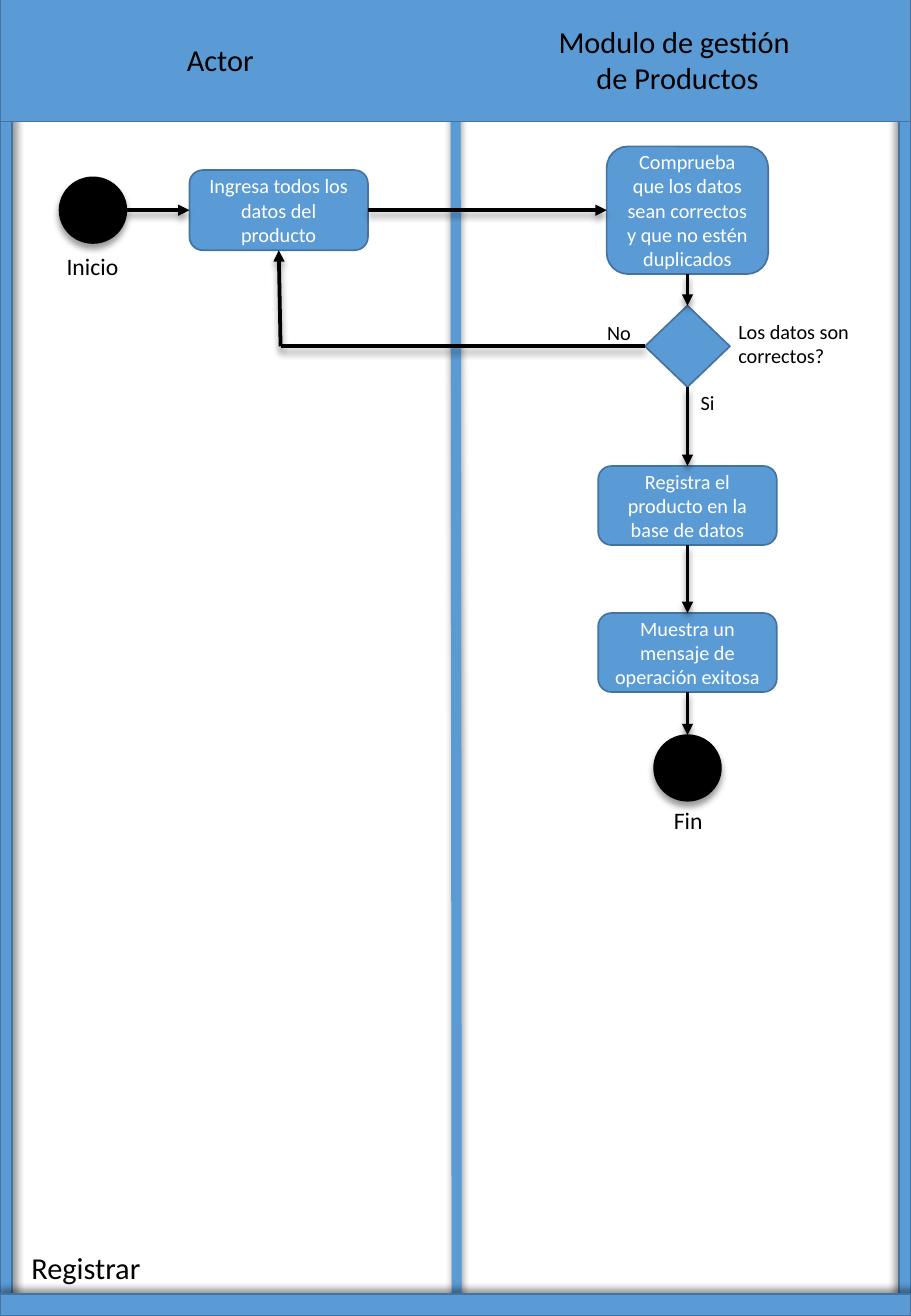
from lxml import etree
from pptx import Presentation
from pptx.dml.color import RGBColor
from pptx.enum.shapes import MSO_CONNECTOR, MSO_SHAPE
from pptx.enum.text import MSO_ANCHOR, PP_ALIGN
from pptx.oxml.ns import qn
from pptx.util import Inches, Pt

STRAIGHT = MSO_CONNECTOR.STRAIGHT
RECT, ROUND = MSO_SHAPE.RECTANGLE, MSO_SHAPE.ROUNDED_RECTANGLE
OVAL, DECISION = MSO_SHAPE.OVAL, MSO_SHAPE.FLOWCHART_DECISION
LEFT, CENTER, MIDDLE = PP_ALIGN.LEFT, PP_ALIGN.CENTER, MSO_ANCHOR.MIDDLE
TOP, WEST, BOTTOM, EAST = range(4)

W, H = 7.5, 10.83
SIDE, HEADER, FOOTER = 0.1, 1.0, 0.18
FONT = "Calibri"
COLORS = {"blue": "5B9BD5", "edge": "43739E", "black": "000000", "white": "FFFFFF"}

# Frame bars: left, top, width, height, shadow direction in degrees
FRAME = [
    (0, 0, SIDE, H, 45),
    (W - SIDE, 0, SIDE, H, 225),
    (0, H - FOOTER, W, FOOTER, 270),
    (0, -0.02, W, HEADER + 0.02, None),
]

# Nodes: shape, centre x, centre y, width, height, text
STEP_W, STEP_H = 1.47, 0.65
DOT_W, DOT_H = 0.55, 0.54
ROW_1, SYSTEM_X = 1.73, 5.66
NODES = {
    "inicio": (OVAL, 0.765, ROW_1, DOT_W, DOT_H, ""),
    "ingresa": (ROUND, 2.295, ROW_1, STEP_W, 0.66, "Ingresa todos los datos del producto"),
    "comprueba": (ROUND, SYSTEM_X, ROW_1, 1.33, 1.05,
                  "Comprueba que los datos sean correctos y que no estén duplicados"),
    "decision": (DECISION, SYSTEM_X, 2.85, 0.7, 0.67, ""),
    "registra": (ROUND, SYSTEM_X, 4.16, STEP_W, STEP_H, "Registra el producto en la base de datos"),
    "muestra": (ROUND, SYSTEM_X, 5.37, STEP_W, STEP_H, "Muestra un mensaje de operación exitosa"),
    "fin": (OVAL, SYSTEM_X, 6.32, DOT_W, DOT_H, ""),
}

# Labels: left, top, width, height, size, paragraphs with alignment
LABELS = [
    (1.44, 0.29, 0.76, 0.4, 18, [("Actor", LEFT)]),
    (4.5, 0.14, 2.13, 0.71, 18, [("Modulo de gestión", LEFT), (" de Productos", CENTER)]),
    (0.45, 2.02, 0.63, 0.34, 14, [("Inicio", LEFT)]),
    (5.98, 2.58, 1.16, 0.5, 12, [("Los datos son ", LEFT), ("correctos?", LEFT)]),
    (4.9, 2.59, 0.4, 0.3, 12, [("No", LEFT)]),
    (5.67, 3.16, 0.32, 0.3, 12, [("Si", LEFT)]),
    (5.45, 6.58, 0.44, 0.34, 14, [("Fin", LEFT)]),
    (0.16, 10.23, 1.11, 0.4, 18, [("Registrar", LEFT)]),
]

# Flows: from, to (node and side, or a point), arrowhead
CORNER = (2.31, 2.85)
FLOWS = [
    (("inicio", EAST), ("ingresa", WEST), True),
    (("ingresa", EAST), ("comprueba", WEST), True),
    (("comprueba", BOTTOM), ("decision", TOP), True),
    (("decision", WEST), CORNER, False),
    (CORNER, ("ingresa", BOTTOM), True),
    (("decision", BOTTOM), ("registra", TOP), True),
    (("registra", BOTTOM), ("muestra", TOP), True),
    (("muestra", BOTTOM), ("fin", TOP), True),
]


def rgb(name):
    """Return the named colour."""
    return RGBColor.from_string(COLORS[name])


def set_shadow(sp, direction=None):
    """Give a shape an outer shadow, or none without a direction."""
    pr = sp._element.spPr
    for old in pr.findall(qn("a:effectLst")):
        pr.remove(old)
    effects = etree.SubElement(pr, qn("a:effectLst"))
    if direction is not None:
        outer = etree.SubElement(effects, qn("a:outerShdw"), blurRad=str(Pt(4)),
                                 dist=str(Pt(3)), dir=str(direction * 60000), rotWithShape="0")
        color = etree.SubElement(outer, qn("a:srgbClr"), val=COLORS["black"])
        etree.SubElement(color, qn("a:alpha"), val="40000")


def add_text(tf, paragraphs, size, color):
    """Write (text, alignment) paragraphs into a text frame."""
    for i, (text, align) in enumerate(paragraphs):
        p = tf.add_paragraph() if i else tf.paragraphs[0]
        p.alignment = align
        r = p.add_run()
        r.text = text
        r.font.name, r.font.size = FONT, Pt(size)
        r.font.color.rgb = rgb(color)


def add_box(kind, x, y, w, h, fill="blue", edge="edge", direction=None):
    """Add a filled and outlined shape."""
    sp = shapes.add_shape(kind, Inches(x), Inches(y), Inches(w), Inches(h))
    sp.fill.solid()
    sp.fill.fore_color.rgb = rgb(fill)
    sp.line.color.rgb = rgb(edge)
    sp.line.width = Pt(1)
    set_shadow(sp, direction)
    return sp


def add_node(kind, cx, cy, w, h, text):
    """Add a flow node around its centre."""
    dot = kind == OVAL
    fill, edge = ("black", "black") if dot else ("blue", "edge")
    sp = add_box(kind, cx - w / 2, cy - h / 2, w, h, fill, edge, 90 if dot else None)
    if text:
        tf = sp.text_frame
        tf.word_wrap, tf.vertical_anchor = True, MIDDLE
        add_text(tf, [(text, CENTER)], 12, "white")
    return sp


def end_point(end):
    """Return the position of a node side or of a plain point."""
    if not isinstance(end[0], str):
        return end
    name, side = end
    cx, cy, w, h = NODES[name][1:5]
    dx, dy = {TOP: (0, -1), WEST: (-1, 0), BOTTOM: (0, 1), EAST: (1, 0)}[side]
    return cx + dx * w / 2, cy + dy * h / 2


def add_line(start, end, color, width, direction, arrow=False):
    """Add a straight line with a shadow and an optional arrowhead."""
    s = shapes.add_connector(STRAIGHT, *(Inches(v) for v in (*start, *end)))
    s.line.color.rgb = rgb(color)
    s.line.width = Pt(width)
    if arrow:
        etree.SubElement(s.line._get_or_add_ln(), qn("a:tailEnd"), type="triangle")
    set_shadow(s, direction)
    return s


prs = Presentation()
prs.slide_width, prs.slide_height = Inches(W), Inches(H)
shapes = prs.slides.add_slide(prs.slide_layouts[6]).shapes

add_line((W / 2, 0), (W / 2 + 0.01, H), "blue", 6, 270)
for *place, direction in FRAME:
    add_box(RECT, *place, direction=direction)

nodes = {name: add_node(*node) for name, node in NODES.items()}

for start, end, arrow in FLOWS:
    s = add_line(end_point(start), end_point(end), "black", 2.25, 90, arrow)
    for (name, side), connect in ((start, s.begin_connect), (end, s.end_connect)):
        # An ellipse numbers its sides differently, apart from the top
        if name in nodes and (NODES[name][0] != OVAL or side == TOP):
            connect(nodes[name], side)

for x, y, w, h, size, paragraphs in LABELS:
    tb = shapes.add_textbox(Inches(x), Inches(y), Inches(w), Inches(h))
    tb.text_frame.word_wrap = False
    add_text(tb.text_frame, paragraphs, size, "black")

prs.save("out.pptx")
